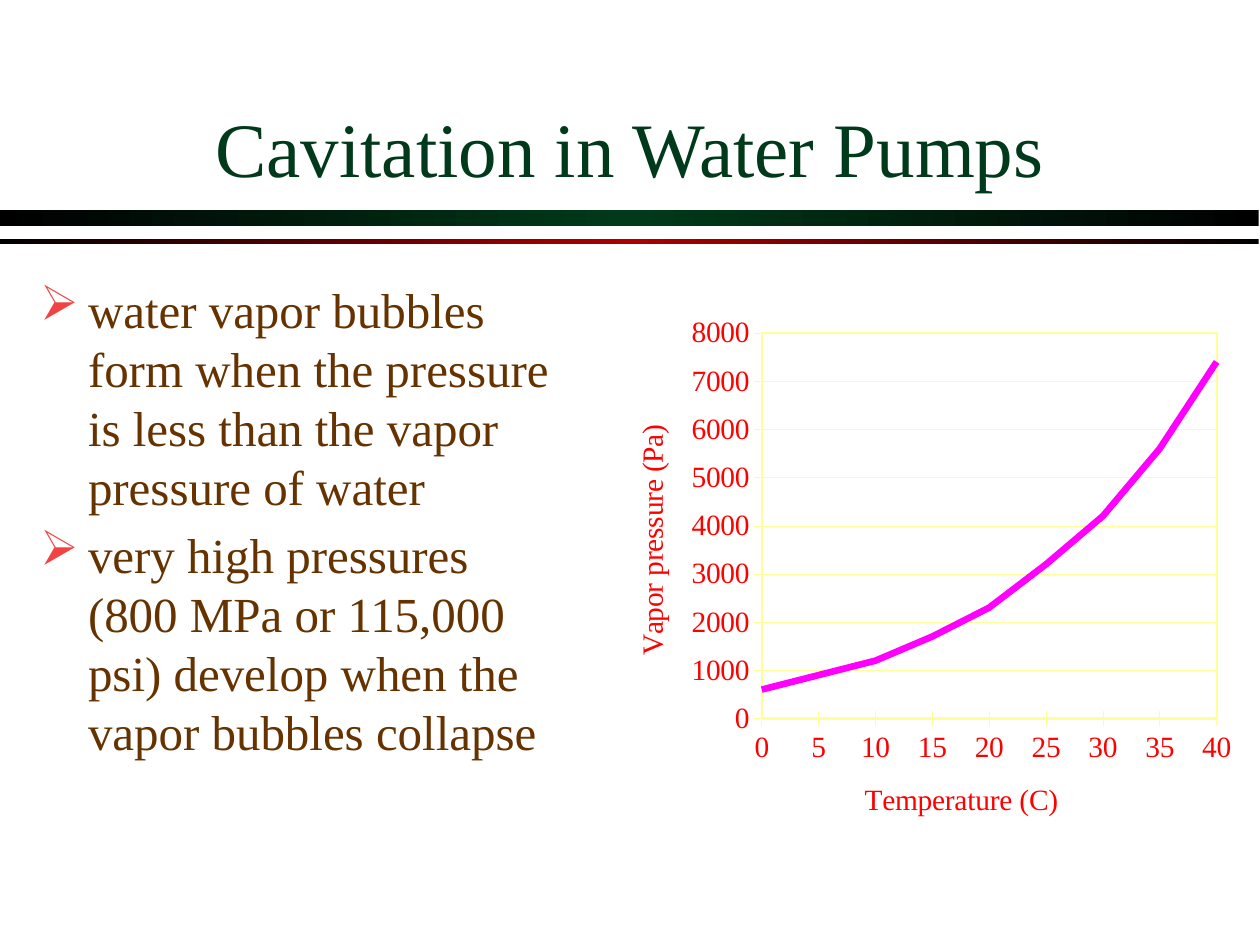
from lxml import etree
from pptx import Presentation
from pptx import util as u
from pptx.chart.data import XyChartData
from pptx.dml.color import RGBColor
from pptx.enum import chart as ch, shapes, text
from pptx.oxml import parse_xml
from pptx.oxml.ns import nsdecls, qn

PX = 9144
FONT = "Times New Roman"
BLACK = RGBColor(0x00, 0x00, 0x00)
GREEN = RGBColor(0x00, 0x3A, 0x1A)
DARK_RED = RGBColor(0xAC, 0x00, 0x00)
BROWN = RGBColor(0x66, 0x33, 0x00)
CORAL = RGBColor(0xF1, 0x43, 0x43)
RED = RGBColor(0xFF, 0x00, 0x00)
YELLOW = RGBColor(0xFF, 0xFF, 0x99)
MAGENTA = RGBColor(0xFF, 0x00, 0xFF)

BULLETS = [
    "water vapor bubbles form when the pressure is less than the vapor pressure of water",
    "very high pressures (800 MPa or 115,000 psi) develop when the vapor bubbles collapse",
]
TEMPERATURES = range(0, 41, 5)
PRESSURES = [600, 900, 1200, 1700, 2300, 3200, 4200, 5600, 7400]


def box(*lengths):
    return [u.Emu(n * PX) for n in lengths]


def style_font(font, size, color):
    font.name = FONT
    font.size = u.Pt(size)
    font.bold = False
    font.color.rgb = color


def add_band(s, top, height, middle):
    sp = s.shapes.add_shape(shapes.MSO_SHAPE.RECTANGLE, *box(0, top, 999, height))
    sp.shadow.inherit = False
    sp.line.fill.background()
    sp.fill.gradient()
    sp.fill.gradient_angle = 0
    gradient = sp._element.spPr.find(qn("a:gradFill"))
    stops = "".join(
        f'<a:gs pos="{pos}"><a:srgbClr val="{color}"/></a:gs>'
        for pos, color in ((0, BLACK), (50000, middle), (100000, BLACK))
    )
    gradient.replace(
        gradient.find(qn("a:gsLst")),
        parse_xml(f'<a:gsLst {nsdecls("a")}>{stops}</a:gsLst>'),
    )


def add_text_frame(s, place, anchor):
    tf = s.shapes.add_textbox(*box(*place)).text_frame
    tf.word_wrap = True
    tf.vertical_anchor = anchor
    return tf


def add_run(p, words, size, color):
    r = p.add_run()
    r.text = words
    style_font(r.font, size, color)
    return r


def add_title(s, words):
    tf = add_text_frame(s, (75, 33, 850, 125), text.MSO_ANCHOR.BOTTOM)
    p = tf.paragraphs[0]
    p.alignment = text.PP_ALIGN.CENTER
    r = add_run(p, words, 44, GREEN)
    shadow = parse_xml(
        f'<a:effectLst {nsdecls("a")}><a:outerShdw dist="35921" dir="2700000">'
        f'<a:srgbClr val="{BLACK}"/></a:outerShdw></a:effectLst>'
    )
    r.font._element.find(qn("a:solidFill")).addnext(shadow)


def set_bullet(p):
    pPr = p._p.get_or_add_pPr()
    pPr.set("marL", str(38 * PX))
    pPr.set("indent", str(-38 * PX))
    before = etree.SubElement(pPr, qn("a:spcBef"))
    etree.SubElement(before, qn("a:spcPct")).set("val", "20000")
    color = etree.SubElement(pPr, qn("a:buClr"))
    etree.SubElement(color, qn("a:srgbClr")).set("val", str(CORAL))
    etree.SubElement(pPr, qn("a:buChar")).set("char", "➢")


def add_bullets(s, items):
    tf = add_text_frame(s, (22, 217, 428, 450), text.MSO_ANCHOR.TOP)
    for i, item in enumerate(items):
        p = tf.add_paragraph() if i else tf.paragraphs[0]
        set_bullet(p)
        add_run(p, item, 28, BROWN)


def style_line(line, color, width):
    line.color.rgb = color
    line.width = u.Pt(width)


def style_axis(axis, title, maximum, step):
    axis.minimum_scale = 0
    axis.maximum_scale = maximum
    axis.major_unit = step
    axis.major_tick_mark = ch.XL_TICK_MARK.CROSS
    axis.minor_tick_mark = ch.XL_TICK_MARK.NONE
    axis.tick_labels.number_format = "0"
    axis.tick_labels.number_format_is_linked = False
    style_font(axis.tick_labels.font, 16.8, RED)
    style_line(axis.format.line, YELLOW, 0.32)
    add_run(axis.axis_title.text_frame.paragraphs[0], title, 16.8, RED)


def set_plot_area(chart):
    plot_area = chart._chartSpace.chart.plotArea
    for old in plot_area.findall(qn("c:layout")):
        plot_area.remove(old)
    sizes = "".join(
        f'<c:{tag} val="{val}"/>'
        for tag, val in (("x", 0.255), ("y", 0.076), ("w", 0.689), ("h", 0.677))
    )
    plot_area.insert(0, parse_xml(
        f'<c:layout {nsdecls("c")}><c:manualLayout><c:layoutTarget val="inner"/>'
        f'<c:xMode val="edge"/><c:yMode val="edge"/>{sizes}</c:manualLayout></c:layout>'
    ))
    plot_area.append(parse_xml(
        f'<c:spPr {nsdecls("c", "a")}><a:noFill/><a:ln w="16000"><a:solidFill>'
        f'<a:srgbClr val="{YELLOW}"/></a:solidFill></a:ln></c:spPr>'
    ))


def add_vapor_chart(s):
    data = XyChartData()
    points = data.add_series("Series 1")
    for temperature, pressure in zip(TEMPERATURES, PRESSURES):
        points.add_data_point(temperature, pressure)
    chart = s.shapes.add_chart(
        ch.XL_CHART_TYPE.XY_SCATTER_SMOOTH_NO_MARKERS, *box(471, 230, 524, 452), data
    ).chart
    chart.has_legend = False
    chart.has_title = False
    style_font(chart.font, 16.8, RED)
    style_axis(chart.category_axis, "Temperature (C)", 40, 5)
    style_axis(chart.value_axis, "Vapor pressure (Pa)", 8000, 1000)
    chart.category_axis.has_major_gridlines = False
    chart.value_axis.has_major_gridlines = True
    style_line(chart.value_axis.major_gridlines.format.line, YELLOW, 0.32)
    plot = chart.plots[0]
    plot.vary_by_categories = False
    curve = plot.series[0]
    curve.smooth = True
    curve.marker.style = ch.XL_MARKER_STYLE.NONE
    style_line(curve.format.line, MAGENTA, 3.8)
    set_plot_area(chart)


def main():
    prs = Presentation()
    prs.slide_width, prs.slide_height = box(1000, 750)
    s = prs.slides.add_slide(prs.slide_layouts[6])
    add_band(s, 167, 12, GREEN)
    add_band(s, 190, 4, DARK_RED)
    add_title(s, "Cavitation in Water Pumps")
    add_bullets(s, BULLETS)
    add_vapor_chart(s)
    prs.save("out.pptx")


if __name__ == "__main__":
    main()
